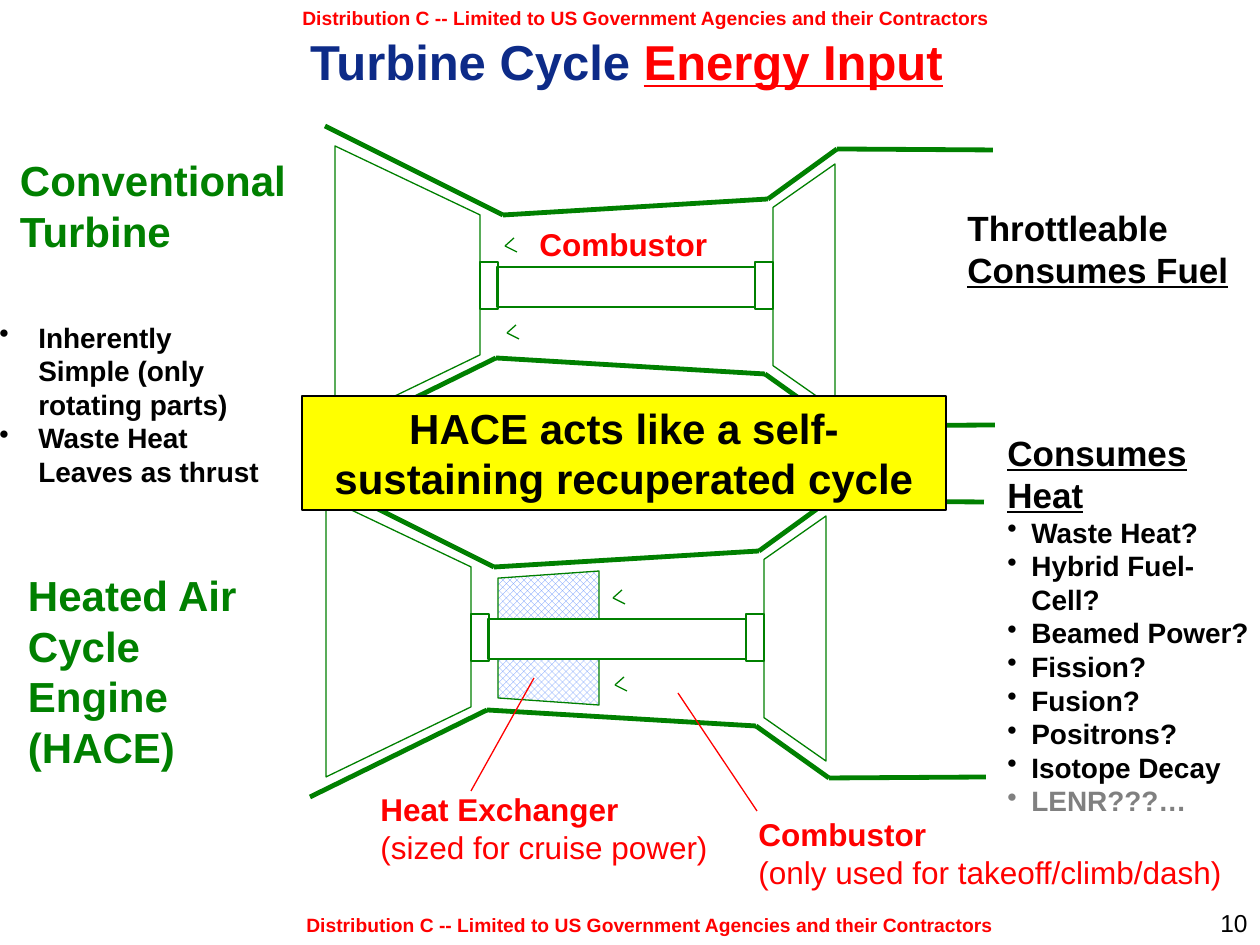
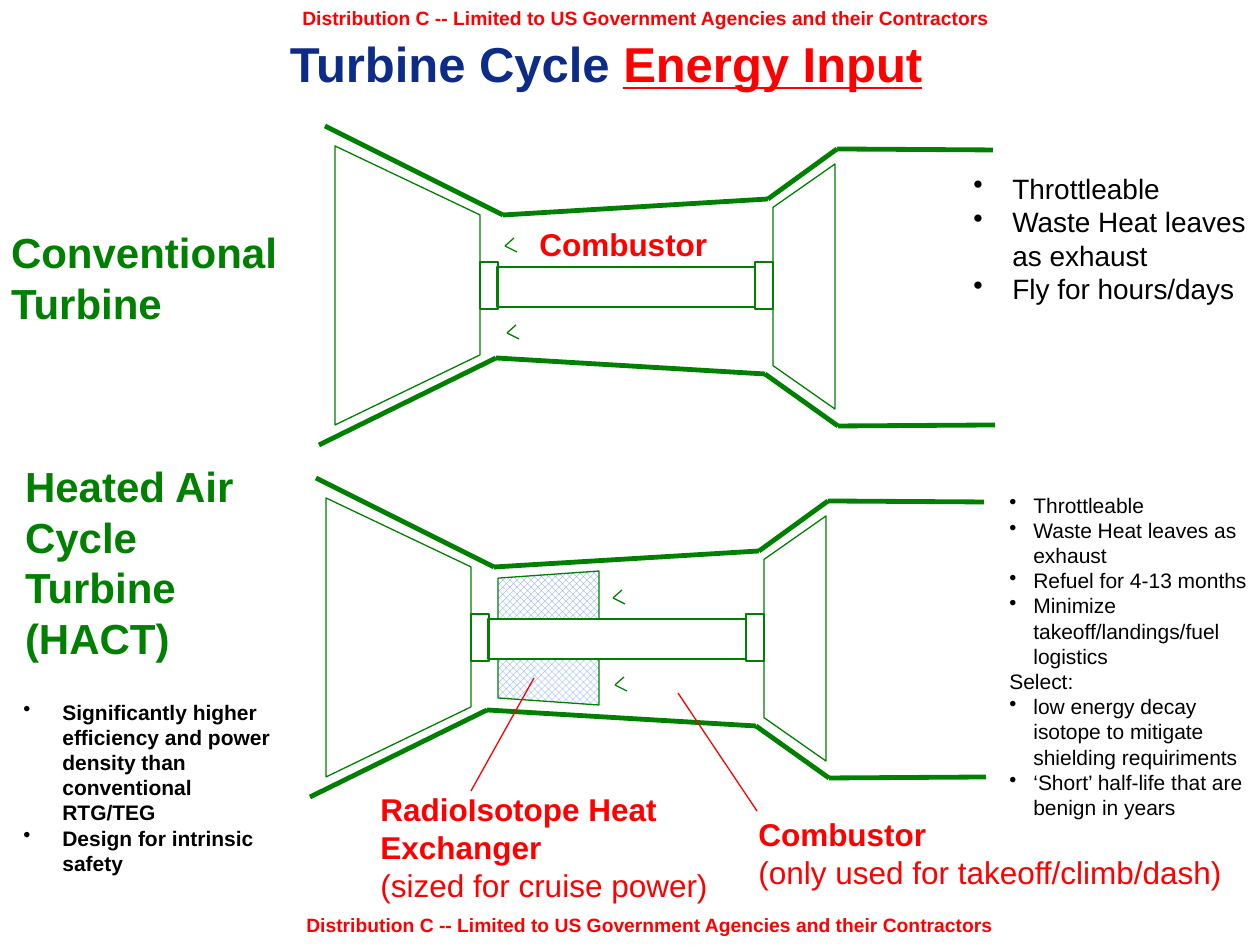
import itertools

import pptx
import pptx.dml.color
import pptx.enum.dml
import pptx.enum.shapes
import pptx.enum.text
import pptx.oxml
import pptx.oxml.ns
import pptx.util

RGB = pptx.dml.color.RGBColor
SHAPE = pptx.enum.shapes.MSO_SHAPE
ALIGN = pptx.enum.text.PP_ALIGN
ANCHOR = pptx.enum.text.MSO_ANCHOR

# Scale: 126 px to the inch
EMU_PER_PX = 914400 / 126
SLIDE_WIDTH, SLIDE_HEIGHT = 1260, 945

# Colours
WHITE = RGB(0xFF, 0xFF, 0xFF)
BLACK = RGB(0, 0, 0)
RED = RGB(0xFF, 0, 0)
GREEN = RGB(0, 0x80, 0)
NAVY = RGB(0x0D, 0x2B, 0x88)
YELLOW = RGB(0xFF, 0xFF, 0)
GREY = RGB(0x80, 0x80, 0x80)
HATCH_BLUE = RGB(0x61, 0x8F, 0xFD)

# Text formats
TITLE = {"size": 28, "bold": True, "color": NAVY}
NOTICE = {"size": 11, "bold": True, "color": RED}
ENGINE_NAME = {"size": 24, "bold": True, "color": GREEN}
CALLOUT = {"size": 18, "bold": True, "color": RED}
BANNER = {"size": 24, "bold": True, "color": BLACK}
HEADING = {"size": 20, "bold": True, "color": BLACK}
STRONG = {"size": 16, "bold": True, "color": BLACK}
BODY = {"size": 16, "color": BLACK}
SMALL = {"size": 12, "color": BLACK}
SMALL_STRONG = {**SMALL, "bold": True}
PAGE_NUMBER = {"size": 14, "color": BLACK}
UNDERLINED = {"underline": True}
REGULAR = {"bold": False}

THIN, THICK = 0.75, 2.75
WIDE_INDENT, NARROW_INDENT = 39, 24
NO_INSETS = (0, 0, 0, 0)
DISTRIBUTION = "Distribution C -- Limited to US Government Agencies and their Contractors"

# Upper engine geometry; the lower engine is the same, moved by LOWER
UPPER, LOWER = (0, 0), (-9, 352)
INTAKE = [(335, 425), (480, 355), (480, 215), (335, 146)]
CASING_TOP = [(325, 126), (503, 215), (768, 199), (837, 149), (993, 150)]
CASING_BOTTOM = [(319, 445), (496, 358), (765, 374), (838, 426), (995, 425)]
FLAME = [(514, 238), (505, 246), (517, 252)]
FLAME_SPACING = (2, 87)
LOWER_FLAME = (108, 352)
SHAFT = (497, 267, 258, 40)
COUPLING_XS = (480, 755)
TURBINE = (773, 164, 62, 245)
HEAT_EXCHANGER = (498, 571, 101, 134)


def px(value):
    return pptx.util.Emu(round(value * EMU_PER_PX))


def moved(points, offset):
    return [(x + offset[0], y + offset[1]) for x, y in points]


# Text
def set_font(font, settings):
    for name, value in {"name": "Arial", **settings}.items():
        if name == "color":
            font.color.rgb = value
        elif name == "size":
            font.size = pptx.util.Pt(value)
        else:
            setattr(font, name, value)


def add_bullet(paragraph, indent):
    properties = paragraph._p.get_or_add_pPr()
    properties.set("marL", str(px(indent)))
    properties.set("indent", str(-px(indent)))
    bullet = pptx.oxml.parse_xml(
        f'<a:buChar {pptx.oxml.ns.nsdecls("a")} char="•"/>')
    properties.append(bullet)


def line_of(*runs, indent=0):
    """A paragraph: runs of (text, format changes), and a bullet indent."""
    return runs, indent


def plain(*texts):
    return [line_of((text, {})) for text in texts]


def bullets(indent, *texts):
    return [line_of((text, {}), indent=indent) for text in texts]


def fill_frame(frame, paragraphs, settings, align=ALIGN.LEFT, spacing=None):
    frame.word_wrap = True
    for index, (runs, indent) in enumerate(paragraphs):
        paragraph = frame.add_paragraph() if index else frame.paragraphs[0]
        paragraph.alignment = align
        if spacing:
            paragraph.line_spacing = spacing
        if indent:
            add_bullet(paragraph, indent)
        for text, changes in runs:
            run = paragraph.add_run()
            run.text = text
            set_font(run.font, {**settings, **changes})


def add_text(slide, box, paragraphs, settings, insets=None, fill=None,
             anchor=ANCHOR.TOP, **layout):
    text_box = slide.shapes.add_textbox(*map(px, box))
    frame = text_box.text_frame
    frame.vertical_anchor = anchor
    if insets:
        sides = ("margin_left", "margin_top", "margin_right", "margin_bottom")
        for side, inset in zip(sides, insets):
            setattr(frame, side, px(inset))
    if fill is not None:
        text_box.fill.solid()
        text_box.fill.fore_color.rgb = fill
    fill_frame(frame, paragraphs, settings, **layout)


# Outlines and lines
def style_shape(shape, fill=None, line=GREEN):
    shape.shadow.inherit = False
    if fill is None:
        shape.fill.background()
    else:
        shape.fill.solid()
        shape.fill.fore_color.rgb = fill
    shape.line.color.rgb = line
    shape.line.width = pptx.util.Pt(THIN)


def add_rectangle(slide, box, fill=None, line=GREEN):
    rectangle = slide.shapes.add_shape(SHAPE.RECTANGLE, *map(px, box))
    style_shape(rectangle, fill, line)
    return rectangle


def add_flared(slide, box, taper):
    """A trapezoid turned so that it has its narrow side on the left."""
    x, y, width, height = box
    left = x + (width - height) / 2
    top = y + (height - width) / 2
    flared = slide.shapes.add_shape(
        SHAPE.TRAPEZOID, px(left), px(top), px(height), px(width))
    flared.rotation = 270
    flared.adjustments[0] = taper
    style_shape(flared)
    return flared


def add_path(slide, points, color=GREEN, width=THIN):
    for start, end in itertools.pairwise(points):
        line = slide.shapes.add_connector(
            pptx.enum.shapes.MSO_CONNECTOR.STRAIGHT, *map(px, start + end))
        line.line.color.rgb = color
        line.line.width = pptx.util.Pt(width)
        line._element.spPr.append(pptx.oxml.parse_xml(
            f'<a:effectLst {pptx.oxml.ns.nsdecls("a")}/>'))


# Engine parts
def add_intake(slide, offset):
    corners = [(px(x), px(y)) for x, y in moved(INTAKE, offset)]
    builder = slide.shapes.build_freeform(*corners[0], scale=1.0)
    builder.add_line_segments(corners[1:], close=True)
    style_shape(builder.convert_to_shape(), WHITE)


def add_heat_exchanger(slide):
    exchanger = add_flared(slide, HEAT_EXCHANGER, 0.07)
    exchanger.fill.patterned()
    exchanger.fill.pattern = pptx.enum.dml.MSO_PATTERN.from_xml("openDmnd")
    exchanger.fill.fore_color.rgb = HATCH_BLUE
    exchanger.fill.back_color.rgb = WHITE


def add_engine(slide, offset, flame_offset, heated=False):
    dx, dy = offset
    add_intake(slide, offset)
    for casing in (CASING_TOP, CASING_BOTTOM):
        add_path(slide, moved(casing, offset), width=THICK)
    flame = moved(FLAME, flame_offset)
    for one_flame in (flame, moved(flame, FLAME_SPACING)):
        add_path(slide, one_flame)
    if heated:
        add_heat_exchanger(slide)
    x, y, width, height = SHAFT
    add_rectangle(slide, (x + dx, y + dy, width, height), WHITE)
    for coupling_x in COUPLING_XS:
        add_rectangle(slide, (coupling_x + dx, 262 + dy, 18, 47))
    x, y, width, height = TURBINE
    add_flared(slide, (x + dx, y + dy, width, height), 0.7)


# Shared slide content
def add_base(prs, title_box):
    slide = prs.slides.add_slide(prs.slide_layouts[6])
    for x, y in ((255, 0), (259, 907)):
        add_text(slide, (x, y, 747, 36), plain(DISTRIBUTION), NOTICE,
                 align=ALIGN.RIGHT)
    title = line_of(("Turbine Cycle ", {}),
                    ("Energy Input", {"color": RED, **UNDERLINED}))
    add_text(slide, title_box, [title], TITLE, insets=(6, 6, 13, 6),
             anchor=ANCHOR.MIDDLE, align=ALIGN.CENTER, spacing=0.8)
    return slide


def add_engines(slide, exchanger_name):
    add_engine(slide, LOWER, LOWER_FLAME, heated=True)
    add_engine(slide, UPPER, UPPER)
    add_text(slide, (527, 219, 207, 50), plain("Combustor"), CALLOUT)
    callouts = (
        ((368, 784, 359, 90), exchanger_name, "(sized for cruise power)",
         [(471, 791), (534, 678)]),
        ((746, 809, 536, 90), "Combustor", "(only used for takeoff/climb/dash)",
         [(757, 811), (678, 693)]),
    )
    for box, part, note, leader in callouts:
        lines = [line_of((part, {})), line_of((note, REGULAR))]
        add_text(slide, box, lines, CALLOUT)
        add_path(slide, leader, RED)


def add_engine_names(slide, conventional_at, heated_at, heated_name):
    for (x, y), height, lines in (
            (conventional_at, 102, ["Conventional Turbine"]),
            (heated_at, 204, ["Heated Air Cycle", heated_name])):
        add_text(slide, (x, y, 268, height), plain(*lines), ENGINE_NAME,
                 insets=NO_INSETS, fill=WHITE)


# Slides
def build_hace_slide(prs):
    slide = add_base(prs, (189, 10, 882, 113))
    add_engines(slide, "Heat Exchanger")
    add_engine_names(slide, (20, 155), (28, 570), "Engine (HACE)")
    heat_sources = bullets(
        NARROW_INDENT, "Waste Heat?", "Hybrid Fuel-Cell?", "Beamed Power?",
        "Fission?", "Fusion?", "Positrons?", "Isotope Decay")
    heading = line_of(("Consumes Heat", {"size": 20, **UNDERLINED}))
    speculative = line_of(("LENR???…", {"color": GREY}), indent=NARROW_INDENT)
    add_text(slide, (995, 425, 273, 437),
             [heading, *heat_sources, speculative], STRONG)
    add_text(slide, (-13, 314, 287, 183),
             bullets(WIDE_INDENT, "Inherently Simple (only rotating parts)",
                     "Waste Heat Leaves as thrust"), STRONG)
    add_text(slide, (955, 200, 309, 97),
             [line_of(("Throttleable", {})),
              line_of(("Consumes Fuel", UNDERLINED))], HEADING)
    banner = add_rectangle(slide, (302, 396, 644, 114), YELLOW, BLACK)
    fill_frame(banner.text_frame,
               plain("HACE acts like a self-sustaining recuperated cycle"),
               BANNER, align=ALIGN.CENTER)
    add_text(slide, (1029, 902, 231, 43), plain("10"), PAGE_NUMBER,
             align=ALIGN.RIGHT)


def build_hact_slide(prs):
    slide = add_base(prs, (179, 1, 861, 135))
    add_engines(slide, "RadioIsotope Heat Exchanger")
    add_engine_names(slide, (11, 227), (25, 461), "Turbine (HACT)")
    benefits = bullets(
        NARROW_INDENT, "Throttleable", "Waste Heat leaves as exhaust",
        "Refuel for 4-13 months", "Minimize takeoff/landings/fuel logistics")
    selection = bullets(
        NARROW_INDENT,
        "low energy decay isotope to mitigate shielding requiriments",
        "‘Short’ half-life that are benign in years")
    add_text(slide, (997, 486, 265, 344),
             [*benefits, *plain("Select:"), *selection], SMALL)
    add_text(slide, (11, 693, 287, 190),
             bullets(WIDE_INDENT,
                     "Significantly higher efficiency and power density than "
                     "conventional RTG/TEG",
                     "Design for intrinsic safety"), SMALL_STRONG)
    add_text(slide, (961, 165, 309, 152),
             bullets(WIDE_INDENT, "Throttleable", "Waste Heat leaves as exhaust",
                     "Fly for hours/days"), BODY)


def main():
    prs = pptx.Presentation()
    prs.slide_width, prs.slide_height = px(SLIDE_WIDTH), px(SLIDE_HEIGHT)
    build_hace_slide(prs)
    build_hact_slide(prs)
    prs.save("out.pptx")


if __name__ == "__main__":
    main()
